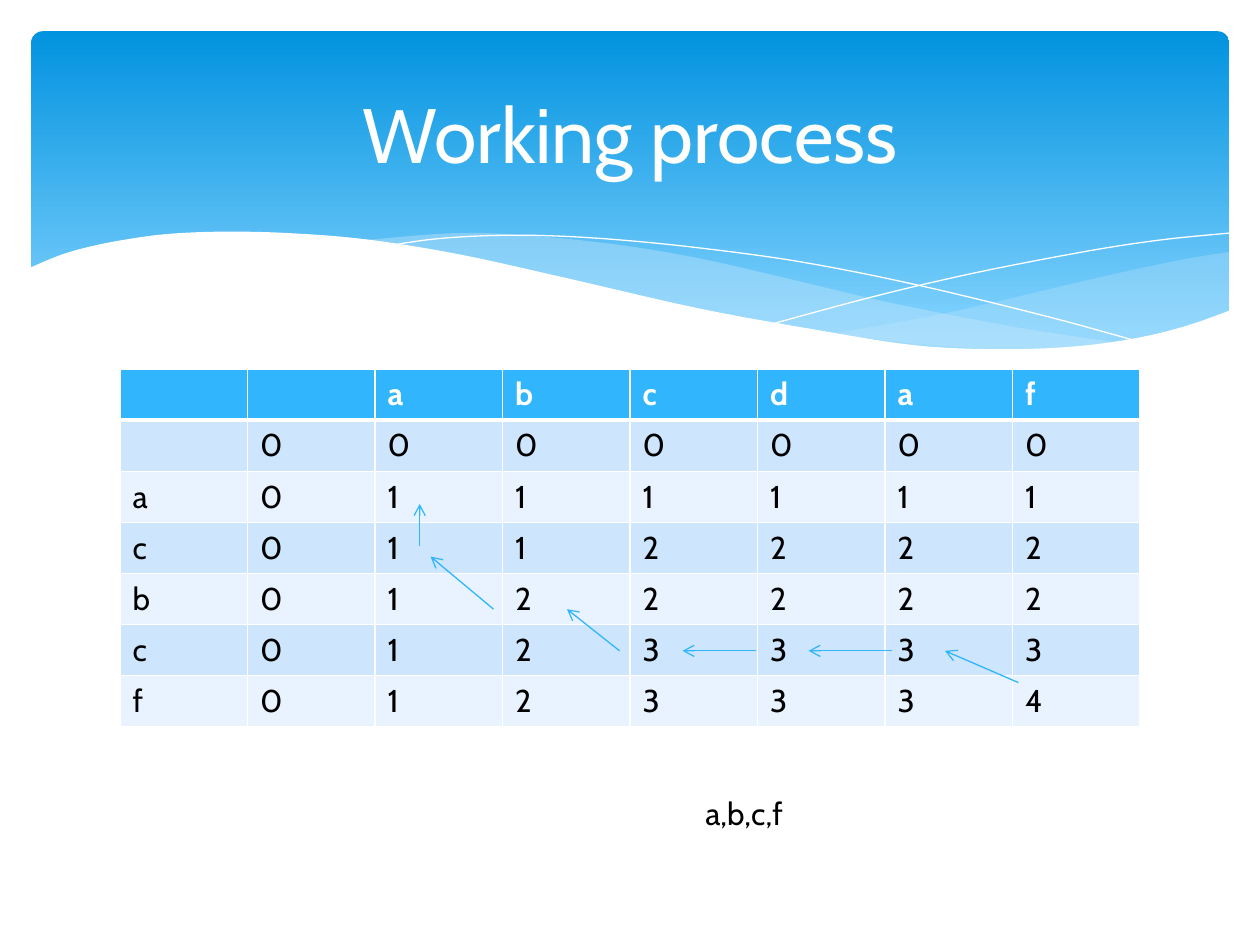
from itertools import chain
from typing import NamedTuple

from lxml import etree
from pptx import Presentation
from pptx.dml.color import RGBColor
from pptx.enum.shapes import MSO_CONNECTOR, MSO_SHAPE
from pptx.enum.text import MSO_ANCHOR, PP_ALIGN
from pptx.oxml.ns import qn
from pptx.util import Cm, Pt

FONT = "Cabin"
WHITE, BLACK, ACCENT, MIST = "FFFFFF", "000000", "31B6FD", "C6E7FC"
Points = list[tuple[float, float]]


class Wave(NamedTuple):
    curves: list[Points]
    fill: str | None = None
    opacity: int = 100


class Arrow(NamedTuple):
    x1: float
    y1: float
    x2: float
    y2: float


def rgb(color: str) -> RGBColor:
    return RGBColor.from_string(color)


def smooth(knots: Points, steps: int = 6) -> Points:
    """Catmull-Rom curve through the knots."""
    padded = [knots[0], *knots, knots[-1]]
    points = [knots[0]]
    for a, b, c, d in zip(padded, padded[1:], padded[2:], padded[3:]):
        for step in range(1, steps + 1):
            t = step / steps
            points.append(tuple(
                (2 * q + (r - p) * t + (2 * p - 5 * q + 4 * r - s) * t ** 2
                 + (3 * q - p - 3 * r + s) * t ** 3) / 2
                for p, q, r, s in zip(a, b, c, d)))
    return points


def write(frame, text: str, size: float, color: str, bold: bool = False) -> None:
    run = frame.paragraphs[0].add_run()
    run.text = text
    run.font.name, run.font.size, run.font.bold = FONT, Pt(size), bold
    run.font.color.rgb = rgb(color)


def add_text(slide, text: str, left: float, top: float, width: float,
             height: float, size: float, color: str):
    frame = slide.shapes.add_textbox(
        Cm(left), Cm(top), Cm(width), Cm(height)).text_frame
    frame.word_wrap = True
    write(frame, text, size, color)
    return frame


def add_wave(slide, wave: Wave) -> None:
    points = [(Cm(x), Cm(y))
              for x, y in chain.from_iterable(map(smooth, wave.curves))]
    builder = slide.shapes.build_freeform(*points[0])
    builder.add_line_segments(points[1:], close=wave.fill is not None)
    shape = builder.convert_to_shape()
    shape.shadow.inherit = False
    if wave.fill is None:
        shape.fill.background()
        shape.line.color.rgb = rgb(WHITE)
        shape.line.width = Pt(0)
        return
    shape.line.fill.background()
    shape.fill.solid()
    shape.fill.fore_color.rgb = rgb(wave.fill)
    if wave.opacity < 100:
        color = shape.fill._xPr.find(".//" + qn("a:srgbClr"))
        etree.SubElement(color, qn("a:alpha"), val=str(wave.opacity * 1000))


def add_arrow(slide, arrow: Arrow) -> None:
    line = slide.shapes.add_connector(
        MSO_CONNECTOR.STRAIGHT, *(Cm(value) for value in arrow))
    line.line.color.rgb = rgb(ACCENT)
    line.line.width = Pt(0.75)
    etree.SubElement(line.line._get_or_add_ln(), qn("a:tailEnd"), type="arrow")
    etree.SubElement(line._element.spPr, qn("a:effectLst"))


def style_cell(cell, fill: str, top: float, bottom: float) -> None:
    properties = cell._tc.get_or_add_tcPr()
    for side, width in zip("LRTB", (1, 1, top, bottom)):
        border = etree.SubElement(properties, qn(f"a:ln{side}"), w=str(Pt(width)))
        solid = etree.SubElement(border, qn("a:solidFill"))
        etree.SubElement(solid, qn("a:srgbClr"), val=WHITE)
    cell.fill.solid()
    cell.fill.fore_color.rgb = rgb(fill)


def add_grid(slide, rows: list[str], left: float, top: float,
             col_width: float, row_height: float) -> None:
    cols = len(rows[0])
    table = slide.shapes.add_table(
        len(rows), cols, Cm(left), Cm(top),
        Cm(col_width * cols), Cm(row_height * len(rows))).table
    for column in table.columns:
        column.width = Cm(col_width)
    for r, values in enumerate(rows):
        table.rows[r].height = Cm(row_height)
        header = r == 0
        fill = ACCENT if header else ("E8F3FF", "CEE5FE")[r % 2]
        for c, value in enumerate(values):
            cell = table.cell(r, c)
            style_cell(cell, fill, 3 if r == 1 else 1, 3 if header else 1)
            if value != " ":
                write(cell.text_frame, value, 18, WHITE if header else BLACK, header)


prs = Presentation()
prs.slide_width, prs.slide_height = Cm(25.4), Cm(19.05)
slide = prs.slides.add_slide(prs.slide_layouts[6])

# Gradient banner
banner = slide.shapes.add_shape(
    MSO_SHAPE.ROUNDED_RECTANGLE, Cm(0.63), Cm(0.63), Cm(24.15), Cm(6.86))
banner.adjustments[0] = 0.034
banner.shadow.inherit = False
banner.line.fill.background()
banner.fill.gradient()
banner.fill.gradient_angle = 270
for stop, (position, color) in zip(banner.fill.gradient_stops,
                                   [(0, "0293E0"), (0.9, "83D3FE")]):
    stop.position = position
    stop.color.rgb = rgb(color)

# Waves along the lower edge of the banner
WAVES = [
    Wave([[(24.78, 5.08), (23.75, 5.25), (21.87, 5.66), (19.13, 6.3), (16.79, 6.73)],
          [(16.79, 6.73), (18.26, 6.91), (19.84, 7.03), (21.2, 7.04),
           (22.38, 6.96), (23.39, 6.78), (24.1, 6.53), (24.78, 6.27)]], MIST, 29),
    Wave([[(22.68, 6.93), (20.5, 6.6), (17.93, 6.1), (15.98, 5.64), (14.1, 5.21),
           (12.42, 4.93), (10.67, 4.75), (9.17, 4.7), (7.26, 4.85)],
          [(7.26, 4.85), (9.19, 5.16), (11.4, 5.64), (14.38, 6.3), (16.51, 6.71),
           (18.34, 6.96), (19.94, 7.06), (21.29, 7.05), (22.68, 6.93)]], MIST, 40),
    Wave([[(7.85, 4.95), (8.74, 4.82), (9.83, 4.75), (11, 4.75), (12.42, 4.83),
           (14.12, 5), (16.15, 5.28), (18.47, 5.74), (21.11, 6.38), (23.04, 6.91)]]),
    Wave([[(15.57, 6.53), (17.65, 5.97), (19.71, 5.49), (22, 5.05),
           (23.47, 4.83), (24.78, 4.7)]]),
    Wave([[(24.82, 6.25), (23.88, 6.58), (22.83, 6.83), (21.59, 6.99), (20.14, 7.04),
           (18.44, 6.96), (16.46, 6.65), (14.1, 6.22), (11.35, 5.59), (9.27, 5.13),
           (7.42, 4.83), (5.84, 4.7), (4.5, 4.67), (3.35, 4.72), (2.41, 4.85),
           (1.7, 5), (1.17, 5.16), (0.58, 5.41)],
          [(0.58, 8.36), (24.82, 8.36)]], WHITE),
]
for wave in WAVES:
    add_wave(slide, wave)

# Title
title = add_text(slide, "Working process", 1.27, 0.94, 22.86, 3.48, 44, WHITE)
title.vertical_anchor = MSO_ANCHOR.MIDDLE
title.paragraphs[0].alignment = PP_ALIGN.CENTER

# Subsequence length table, one character per cell
add_grid(slide, ["  abcdaf", " 0000000", "a0111111", "c0112222",
                 "b0122222", "c0123333", "f0123334"], 2.42, 7.44, 2.57, 1.03)

# Traceback arrows
ARROWS = [
    Arrow(20.53, 13.76, 19.05, 13.12),
    Arrow(17.99, 13.12, 16.3, 13.12),
    Arrow(15.24, 13.12, 13.76, 13.12),
    Arrow(12.49, 13.12, 11.43, 12.28),
    Arrow(9.95, 12.28, 8.68, 11.22),
    Arrow(8.46, 11, 8.46, 10.16),
]
for arrow in ARROWS:
    add_arrow(slide, arrow)

# Resulting subsequence
add_text(slide, "a,b,c,f", 13.97, 15.88, 8.26, 1.03, 18, BLACK)

prs.save("out.pptx")
